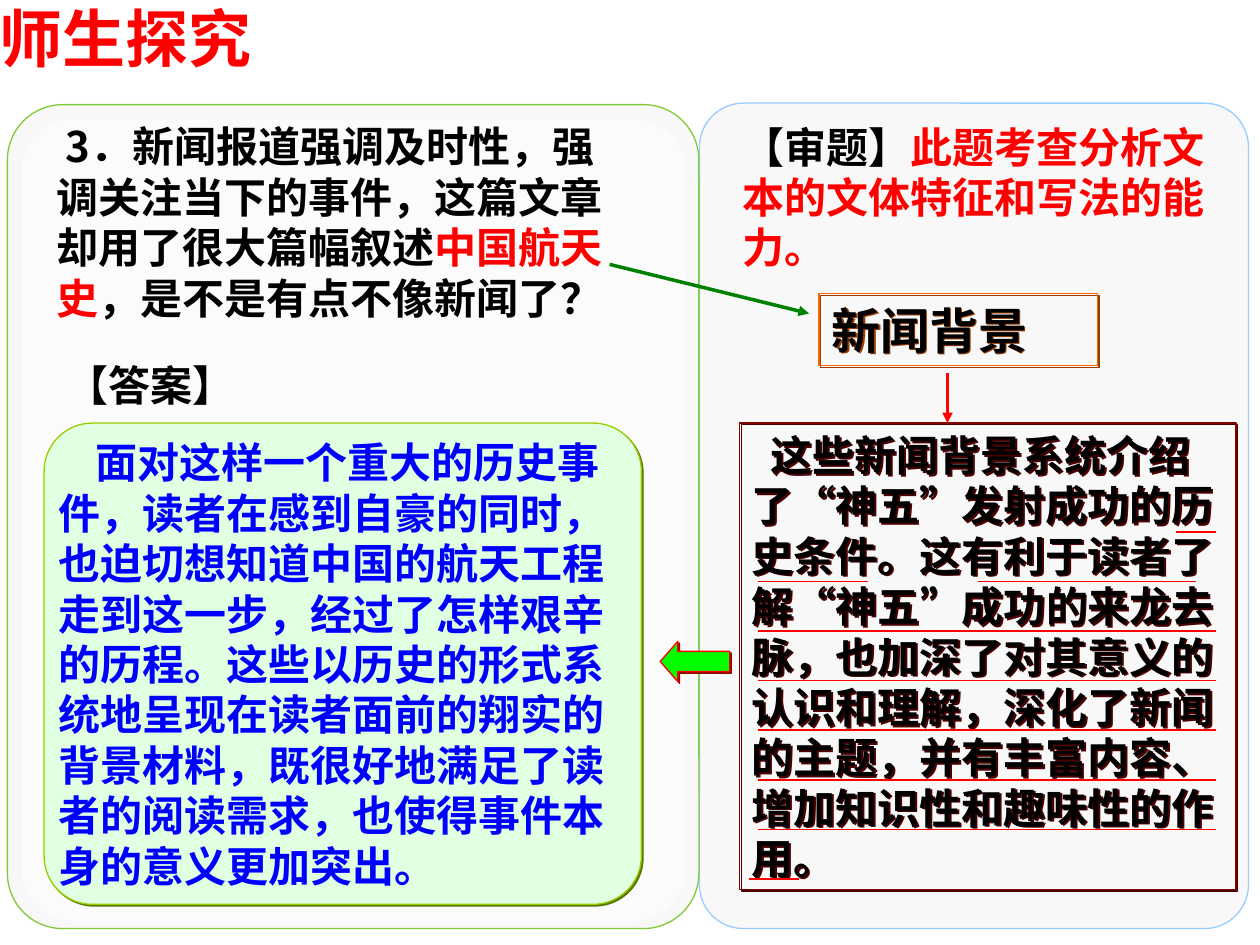
"""Build the slide on news background: question, hints and answer."""
from lxml.etree import SubElement as Sub
from pptx import Presentation
from pptx.dml.color import RGBColor as Rgb
from pptx.enum.shapes import MSO_CONNECTOR as Link, MSO_SHAPE as Form
from pptx.enum.text import MSO_ANCHOR as Anchor, PP_ALIGN as Align
from pptx.oxml.ns import qn
from pptx.util import Cm, Pt

HUES = {
    "red": "FF0000", "black": "000000", "blue": "0000FF", "gray": "808080",
    "panel": "F8F8F8", "white": "FFFFFF", "sky": "99CCFF", "leaf": "80CB35",
    "mint": "E1FFE1", "lime": "99CC00", "olive": "5B7900", "wine": "800000",
    "dusk": "4C0000", "orange": "FF6600", "rust": "983C00", "green": "008000",
    "neon": "00FF00", "brick": "980000",
}
SANS, NOTO = "Arial", "Noto Sans CJK SC"

PANELS = [
    ((14.1, 2.08, 11.07, 16.64), "panel", "sky"),
    ((0.15, 2.11, 13.94, 16.61), "panel", "leaf"),
    ((0.43, 2.39, 13.39, 16.18), "white", None),
]
TEXTS = [
    dict(at=(0, 0, 8.51, 1.52), size=36, pad=0,
         runs=[("师生探究", "red", SANS)]),
    dict(at=(0.89, 2.31, 12.01, 4.32), mid=True, indent=0.19, runs=[
        ("3．新闻报道强调及时性，强调关注当下的事件，这篇文章却用了很大篇幅叙述", "black", NOTO),
        ("中国航天史", "red", NOTO),
        ("，是不是有点不像新闻了？", "black", NOTO)]),
    dict(at=(14.71, 2.31, 10.01, 3.3), runs=[
        ("【审题】", "black", SANS),
        ("此题考查分析文本的文体特征和写法的能力。", "red", SANS)]),
    dict(at=(1.09, 7.11, 4.19, 1.27), runs=[("【答案】", "black", SANS)]),
]
BOXES = [
    dict(at=(0.89, 8.53, 12.04, 9.7), form=Form.ROUNDED_RECTANGLE, adj=[0.1],
         fill="mint", line="lime", shade="olive", mid=True, pad=0, indent=0.76,
         runs=[("面对这样一个重大的历史事件，读者在感到自豪的同时，也迫切想知道中国的航天工程"
                "走到这一步，经过了怎样艰辛的历程。这些以历史的形式系统地呈现在读者面前的翔实的"
                "背景材料，既很好地满足了读者的阅读需求，也使得事件本身的意义更加突出。",
                "blue", SANS)]),
    dict(at=(14.91, 8.53, 10.01, 9.4), line="wine", shade="dusk", mid=True,
         indent=0.38, runs=[
             ("这些新闻背景系统介绍了“神五”发射成功的历史条件。这有利于读者了解", "black", NOTO),
             ("“神五”成功的来", "black", SANS),
             ("龙去脉，也加深了对其意义的认识和理解，深化了新闻的主题，"
              "并有丰富内容、增加知识性和趣味性的作用。", "black", NOTO)]),
    dict(at=(16.51, 5.92, 5.61, 1.45), line="orange", shade="rust", size=28,
         runs=[("新闻背景", "black", SANS)]),
    dict(at=(13.31, 12.93, 1.4, 0.81), form=Form.LEFT_ARROW, adj=[0.5, 0.44],
         fill="neon", line="red", shade="brick"),
]
ARROWS = [
    ((12.29, 5.33), (16.31, 6.32), "green"),
    ((19.1, 7.52), (19.1, 8.53), "red"),
]
FULL = [(15.29, 24.51)]
RULES = [[(23.7, 24.51)], [(15.29, 17.5), (19.71, 24.1)]] + [FULL] * 5 + [[(15.09, 16.1)]]
TOP, STEP = 10.72, 1


def rgb(hue):
    return Rgb.from_string(HUES[hue])


def cast(effects, hue):
    shade = Sub(effects, qn("a:outerShdw"), dist=str(Pt(1.4)), dir="2700000", algn="ctr", rotWithShape="0")
    Sub(shade, qn("a:srgbClr"), val=HUES[hue])


def write(shape, runs, size=24, pad=None, mid=False, indent=0, glow=False):
    frame = shape.text_frame
    frame.word_wrap = True
    frame.vertical_anchor = Anchor.MIDDLE if mid else Anchor.TOP
    wide, tall = (0.25, 0.13) if pad is None else (pad, pad)
    frame.margin_left = frame.margin_right = Cm(wide)
    frame.margin_top = frame.margin_bottom = Cm(tall)
    para = frame.paragraphs[0]
    para.alignment = Align.LEFT
    if indent:
        para._p.get_or_add_pPr().set("indent", str(Cm(indent)))
    for text, hue, face in runs:
        run = para.add_run()
        run.text = text
        font = run.font
        font.size, font.bold, font.name = Pt(size), True, face
        font.color.rgb = rgb(hue)
        props = run._r.get_or_add_rPr()
        Sub(props, qn("a:ea"), typeface=NOTO)
        if glow:
            effects = Sub(props, qn("a:effectLst"))
            props.find(qn("a:solidFill")).addnext(effects)
            cast(effects, "gray")


def draw(shapes, at, form=Form.RECTANGLE, adj=(), fill=None, line=None, shade=None):
    shape = shapes.add_shape(form, *map(Cm, at))
    shape.shadow.inherit = False
    for i, part in enumerate(adj):
        shape.adjustments[i] = part
    if fill:
        shape.fill.solid()
        shape.fill.fore_color.rgb = rgb(fill)
    else:
        shape.fill.background()
    if line:
        shape.line.color.rgb = rgb(line)
        shape.line.width = Pt(0.75)
    else:
        shape.line.fill.background()
    if shade:
        cast(shape._element.spPr.find(qn("a:effectLst")), shade)
    return shape


def join(shapes, start, end, hue, width, head=False):
    link = shapes.add_connector(Link.STRAIGHT, *map(Cm, start + end))
    link.line.color.rgb = rgb(hue)
    link.line.width = Pt(width)
    if head:
        Sub(link.line._get_or_add_ln(), qn("a:tailEnd"), type="triangle")
    Sub(link._element.spPr, qn("a:effectLst"))


def main():
    deck = Presentation()
    deck.slide_width, deck.slide_height = Cm(25.4), Cm(19.05)
    shapes = deck.slides.add_slide(deck.slide_layouts[6]).shapes
    for at, fill, line in PANELS:
        panel = draw(shapes, at, Form.ROUNDED_RECTANGLE, [0.08], fill, line)
        if not line:
            tint = panel._element.spPr.find(qn("a:solidFill"))
            Sub(tint[0], qn("a:alpha"), val="50000")
    for item in TEXTS:
        style = {key: val for key, val in item.items() if key != "at"}
        write(shapes.add_textbox(*map(Cm, item["at"])), glow=True, **style)
    looks = ("at", "form", "adj", "fill", "line", "shade")
    for item in BOXES:
        box = draw(shapes, **{key: item[key] for key in looks if key in item})
        if "runs" in item:
            write(box, **{key: val for key, val in item.items() if key not in looks})
    for start, end, hue in ARROWS:
        join(shapes, start, end, hue, 2, True)
    for row, spans in enumerate(RULES):
        y = TOP + row * STEP
        for left, right in spans:
            join(shapes, (left, y), (right, y), "red", 1)
    deck.save("out.pptx")


if __name__ == "__main__":
    main()
